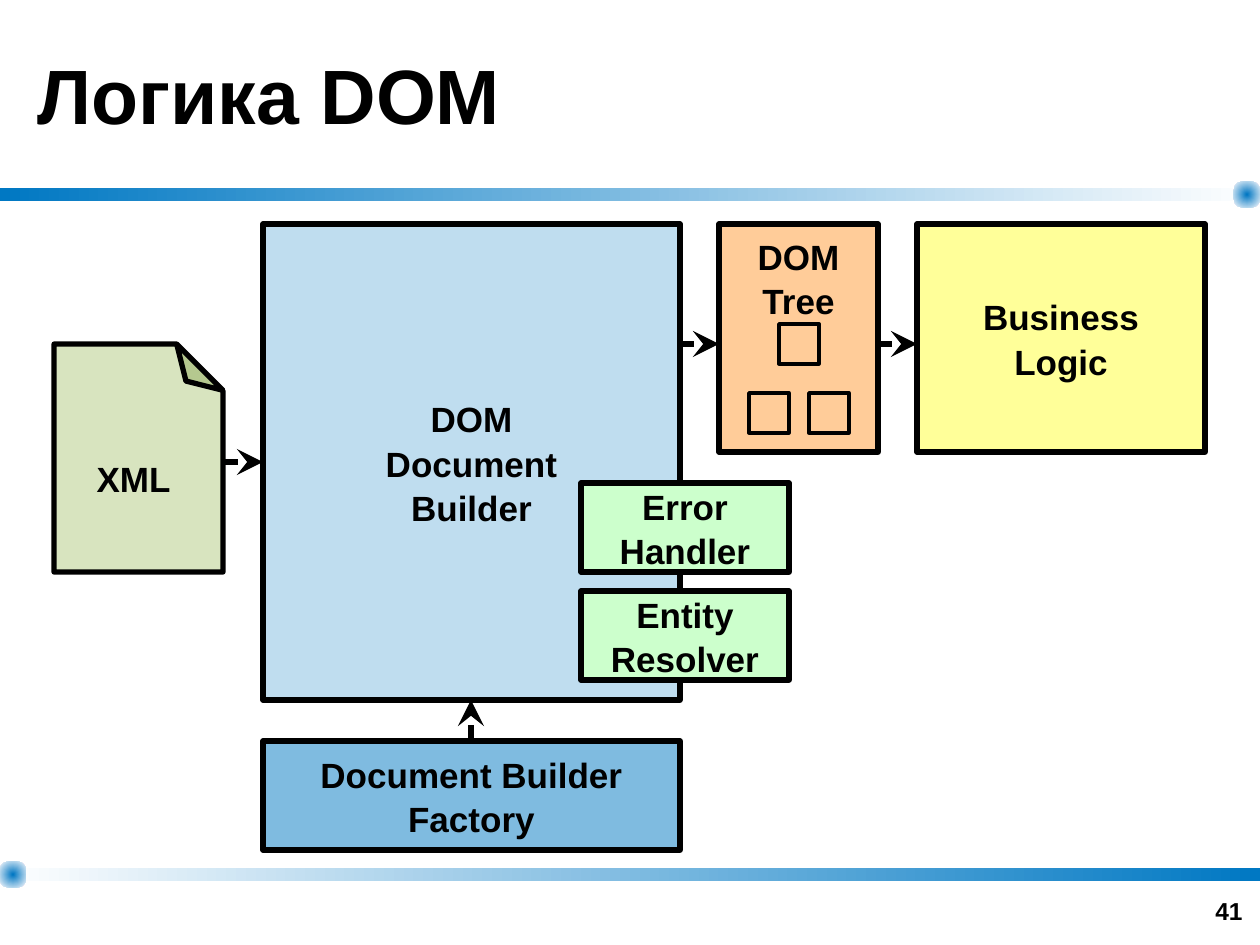
import dataclasses

import lxml.etree
import pptx
import pptx.dml.color
import pptx.enum.shapes
import pptx.enum.text
import pptx.oxml.ns
import pptx.util

PX = 914400 / 126
SHAPE = pptx.enum.shapes.MSO_SHAPE
ANCHOR = pptx.enum.text.MSO_ANCHOR
ALIGN = pptx.enum.text.PP_ALIGN
qn = pptx.oxml.ns.qn


@dataclasses.dataclass(frozen=True)
class Theme:
    font: str = "Arial"
    ink: str = "000000"
    paper: str = "FFFFFF"
    blue: str = "0078C3"
    olive: str = "649600"
    mint: str = "CCFFCC"
    peach: str = "FFCC99"
    lemon: str = "FFFF99"
    title: int = 44
    label: int = 20
    number: int = 14
    outline: int = 3
    node_outline: int = 2
    spacing: float = 1.05


THEME = Theme()


def px(n):
    return pptx.util.Emu(round(n * PX))


def rgb(value):
    return pptx.dml.color.RGBColor.from_string(value)


def write(sp, text, size, align=ALIGN.CENTER, anchor=ANCHOR.MIDDLE, spacing=None):
    tf = sp.text_frame
    tf.word_wrap = True
    tf.vertical_anchor = anchor
    tf.text = text
    for p in tf.paragraphs:
        p.alignment = align
        p.line_spacing = spacing
        p.font.name = THEME.font
        p.font.size = pptx.util.Pt(size)
        p.font.bold = True
        p.font.color.rgb = rgb(THEME.ink)


def add_shape(s, kind, x, y, w, h):
    sp = s.shapes.add_shape(kind, px(x), px(y), px(w), px(h))
    sp.shadow.inherit = False
    return sp


def add_box(s, x, y, w, h, fill=None, alpha=100, text=None,
            kind=SHAPE.RECTANGLE, outline=THEME.outline, anchor=ANCHOR.MIDDLE):
    sp = add_shape(s, kind, x, y, w, h)
    if fill:
        sp.fill.solid()
        sp.fill.fore_color.rgb = rgb(fill)
        if alpha < 100:
            color = sp._element.spPr.find(qn("a:solidFill")).find(qn("a:srgbClr"))
            lxml.etree.SubElement(color, qn("a:alpha")).set("val", str(alpha * 1000))
    else:
        sp.fill.background()
    sp.line.color.rgb = rgb(THEME.ink)
    sp.line.width = pptx.util.Pt(outline)
    if text:
        write(sp, text, THEME.label, anchor=anchor, spacing=THEME.spacing)
    return sp


def add_arrow(s, x1, y1, x2, y2):
    line = s.shapes.add_connector(
        pptx.enum.shapes.MSO_CONNECTOR.STRAIGHT, px(x1), px(y1), px(x2), px(y2))
    line.line.color.rgb = rgb(THEME.ink)
    line.line.width = pptx.util.Pt(THEME.outline)
    tail = lxml.etree.SubElement(line._element.spPr.find(qn("a:ln")), qn("a:tailEnd"))
    for key, value in (("type", "stealth"), ("w", "lg"), ("len", "lg")):
        tail.set(key, value)
    lxml.etree.SubElement(line._element.spPr, qn("a:effectLst"))


def fill_gradient(sp, start, end, radial=False):
    sp.line.fill.background()
    sp.fill.gradient()
    sp.fill.gradient_angle = 0
    for stop, color in zip(sp.fill.gradient_stops, (start, end)):
        stop.color.rgb = rgb(color)
    if radial:
        grad = sp._element.spPr.find(qn("a:gradFill"))
        grad.remove(grad.find(qn("a:lin")))
        circle = lxml.etree.SubElement(grad, qn("a:path"))
        circle.set("path", "circle")
        rect = lxml.etree.SubElement(circle, qn("a:fillToRect"))
        for side in "ltrb":
            rect.set(side, "50000")


def add_rule(s, x, y, w, h, dot_at_right):
    colors = (THEME.blue, THEME.paper) if dot_at_right else (THEME.paper, THEME.blue)
    bar = add_shape(s, SHAPE.RECTANGLE, x, y, w, h)
    fill_gradient(bar, *colors)
    size = 2 * h
    dot_x = x + w - size if dot_at_right else x
    dot = add_shape(s, SHAPE.ROUNDED_RECTANGLE, dot_x, y - h / 2, size, size)
    dot.adjustments[0] = 0.32
    fill_gradient(dot, THEME.blue, THEME.paper, radial=True)


def add_title(s, x, y, w, h):
    title = s.shapes.title
    title.left, title.top, title.width, title.height = px(x), px(y), px(w), px(h)
    write(title, "Логика DOM", THEME.title, align=ALIGN.LEFT)


def add_number(s, x, y, w, h):
    sp = s.shapes.add_textbox(px(x), px(y), px(w), px(h))
    write(sp, "41", THEME.number, align=ALIGN.RIGHT, anchor=ANCHOR.BOTTOM)


def add_document(s, x, y, w, h):
    page = add_box(s, x, y, w, h, THEME.olive, 25, kind=SHAPE.FOLDED_CORNER)
    page.rotation = 180
    page._element.spPr.find(qn("a:xfrm")).set("flipH", "1")
    guides = page._element.spPr.find(qn("a:prstGeom")).find(qn("a:avLst"))
    fold = lxml.etree.SubElement(guides, qn("a:gd"))
    fold.set("name", "adj")
    fold.set("fmla", "val 27400")
    label = s.shapes.add_textbox(px(x - 5), px(y + 42), px(w), px(h - 45))
    write(label, "XML", THEME.label, spacing=THEME.spacing)


def add_builder(s, x, y, w, h):
    add_box(s, x, y, w, h, THEME.blue, 25, "DOM\nDocument\nBuilder")
    add_box(s, x, y + h + 41, w, 109, THEME.blue, 50, "Document Builder\nFactory")
    for i, text in enumerate(("Error\nHandler", "Entity\nResolver")):
        add_box(s, x + 318, y + 259 + 108 * i, 208, 89, THEME.mint, text=text)


def add_tree(s, x, y, w, h):
    sp = add_box(s, x, y, w, h, THEME.peach, text="DOM\nTree", anchor=ANCHOR.TOP)
    sp.text_frame.margin_top = px(9)
    for dx, dy in ((60, 100), (30, 169), (90, 169)):
        add_box(s, x + dx, y + dy, 40, 40, outline=THEME.node_outline)


def add_diagram(s, x, y):
    add_document(s, x, y + 120, 169, 228)
    add_builder(s, x + 209, y, 417, 476)
    add_tree(s, x + 665, y, 159, 228)
    add_box(s, x + 863, y, 288, 228, THEME.lemon, text="Business\nLogic")
    for x1, y1, x2, y2 in ((169, 238, 209, 238), (626, 120, 665, 120),
                           (824, 120, 863, 120), (417, 517, 417, 476)):
        add_arrow(s, x + x1, y + y1, x + x2, y + y2)


def main():
    prs = pptx.Presentation()
    prs.slide_width, prs.slide_height = px(1260), px(945)
    s = prs.slides.add_slide(prs.slide_layouts[5])
    add_rule(s, 0, 188, 1260, 13, dot_at_right=True)
    add_rule(s, 0, 868, 1260, 13, dot_at_right=False)
    add_title(s, 25, 0, 1210, 188)
    add_number(s, 961, 869, 294, 63)
    add_diagram(s, 54, 224)
    prs.save("out.pptx")


if __name__ == "__main__":
    main()
